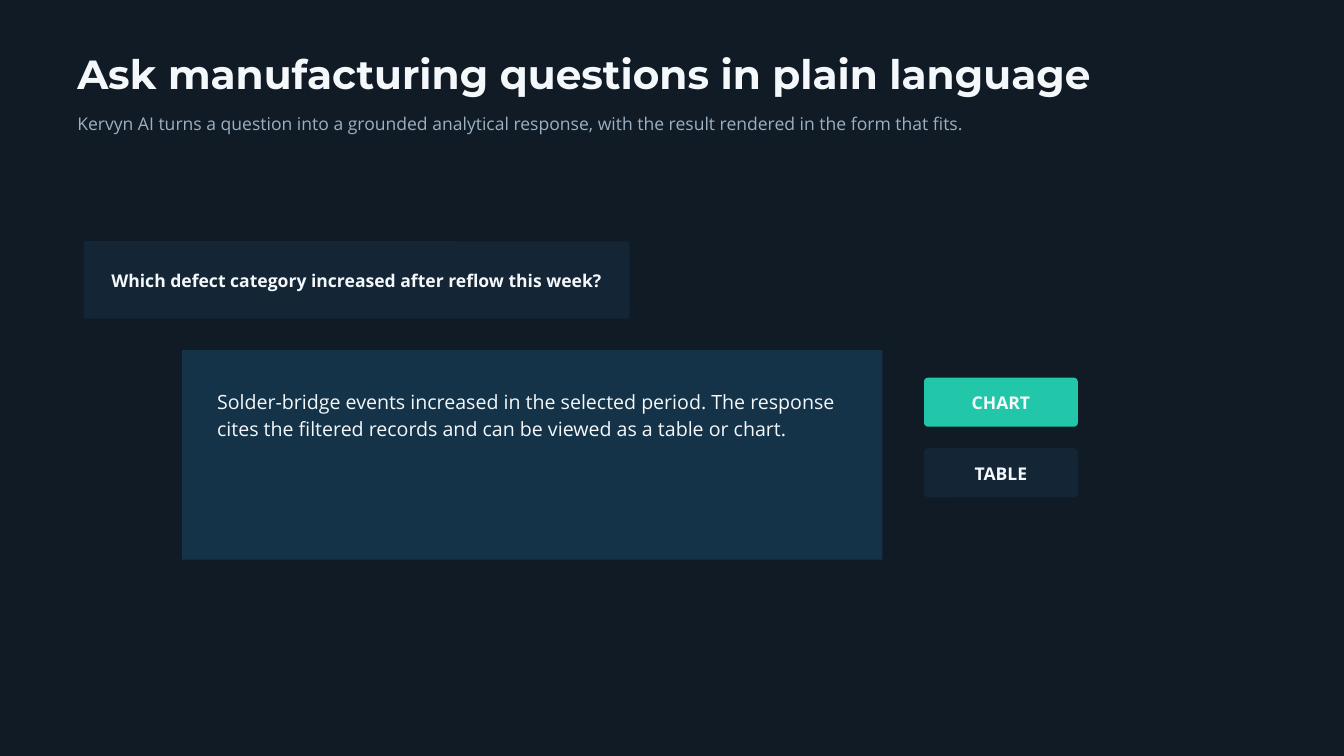
from dataclasses import dataclass
from pptx import Presentation
from pptx.dml.color import RGBColor
from pptx.enum.shapes import MSO_SHAPE
from pptx.enum.text import MSO_ANCHOR, PP_ALIGN
from pptx.util import Inches, Pt


@dataclass(frozen=True)
class Theme:
    back: str = "101B26"
    card: str = "142536"
    reply: str = "153348"
    mint: str = "22C7A9"
    light: str = "F4F8FB"
    muted: str = "9BB0C2"
    head: str = "Montserrat"
    body: str = "Open Sans"
    title: float = 43.5
    large: float = 21
    small: float = 18.8


THEME = Theme()
WIDE, HIGH = 20, 11.25


def paint(fill, color):
    fill.solid()
    fill.fore_color.rgb = RGBColor.from_string(color)


def write(shape, text, size, lead, color=THEME.light, face=THEME.body,
          bold=False, pad=(0, 0, 0, 0), mid=False):
    frame = shape.text_frame
    frame.word_wrap = True
    frame.margin_left, frame.margin_top, frame.margin_right, frame.margin_bottom = map(Inches, pad)
    frame.vertical_anchor = MSO_ANCHOR.MIDDLE if mid else MSO_ANCHOR.TOP
    para = frame.paragraphs[0]
    para.text = text
    para.alignment = PP_ALIGN.CENTER if mid else PP_ALIGN.LEFT
    para.line_spacing = Pt(lead)
    font = para.font
    font.name, font.size, font.bold = face, Pt(size), bold
    font.color.rgb = RGBColor.from_string(color)


def panel(slide, box, color, curve=0):
    kind = MSO_SHAPE.ROUNDED_RECTANGLE if curve else MSO_SHAPE.RECTANGLE
    shape = slide.shapes.add_shape(kind, *map(Inches, box))
    if curve:
        shape.adjustments[0] = curve / min(box[2:])
    shape.shadow.inherit = False
    paint(shape.fill, color)
    shape.line.fill.background()
    return shape


def header(slide, box):
    left, top, width, height = box
    title = slide.shapes.add_textbox(*map(Inches, (left, top, width, height * 0.55)))
    write(title, "Ask manufacturing questions in plain language",
          THEME.title, 45.7, face=THEME.head, bold=True)
    note = slide.shapes.add_textbox(*map(Inches, (left, top + height * 0.707, width, height * 0.293)))
    write(note, "Kervyn AI turns a question into a grounded analytical response, "
          "with the result rendered in the form that fits.",
          THEME.small, 25.3, THEME.muted)


def label(slide, box, text, color, curve):
    write(panel(slide, box, color, curve), text, THEME.small, 26.2,
          bold=True, pad=(0.06, 0.06, 0.06, 0.09), mid=True)


def answer(slide, box):
    side = box[2] * 0.05
    write(panel(slide, box, THEME.reply),
          "Solder-bridge events increased in the selected period. The response "
          "cites the filtered records and can be viewed as a table or chart.",
          THEME.large, 28.4, pad=(side, 0.55, side, 0))


def views(slide, box):
    left, top, width, height = box
    tall = height * 0.41
    for row, (text, color) in enumerate((("CHART", THEME.mint), ("TABLE", THEME.card))):
        label(slide, (left, top + row * (height - tall), width, tall), text, color, 0.06)


def main():
    deck = Presentation()
    deck.slide_width, deck.slide_height = Inches(WIDE), Inches(HIGH)
    slide = deck.slides.add_slide(deck.slide_layouts[6])
    paint(slide.background.fill, THEME.back)
    header(slide, (1.15, 0.82, 15.62, 1.16))
    label(slide, (1.25, 3.59, 8.12, 1.15),
          "Which defect category increased after reflow this week?", THEME.card, 0.02)
    answer(slide, (2.71, 5.21, 10.42, 3.12))
    views(slide, (13.75, 5.62, 2.29, 1.78))
    deck.save("out.pptx")


if __name__ == "__main__":
    main()
